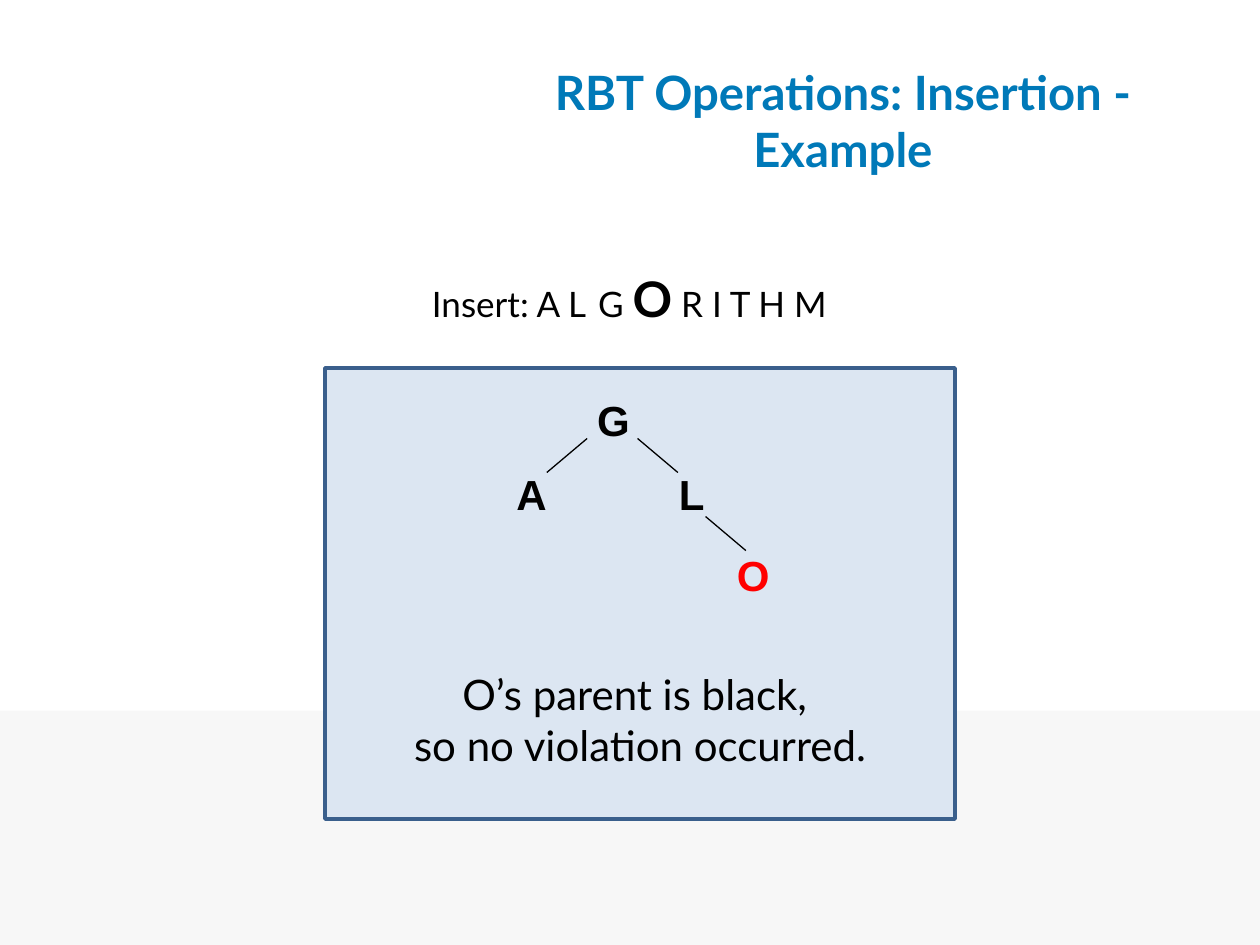
from typing import Any, NamedTuple

from lxml.etree import SubElement
from pptx import Presentation
from pptx.dml.color import RGBColor
from pptx.enum.shapes import MSO_CONNECTOR, MSO_SHAPE
from pptx.enum.text import MSO_ANCHOR, MSO_AUTO_SIZE, PP_ALIGN
from pptx.oxml.ns import qn
from pptx.util import Inches, Pt

COLORS = {
    "band": "F7F7F7",
    "panel": "DCE6F2",
    "border": "3A5F8C",
    "title": "0079B8",
    "black": "000000",
    "red": "FF0000",
}


class Box(NamedTuple):
    left: float
    top: float
    width: float
    height: float


class Run(NamedTuple):
    text: str
    size: float
    bold: bool = False
    color: str = "black"
    font: str = "Lato"


class Node(NamedTuple):
    letter: str
    box: Box
    color: str = "black"


class Edge(NamedTuple):
    left: float
    top: float
    side: int


NODES = [
    Node("A", Box(4, 3.67, 0.44, 0.5)),
    Node("L", Box(5.29, 3.67, 0.4, 0.5)),
    Node("G", Box(4.64, 3.08, 0.46, 0.5)),
    Node("O", Box(5.75, 4.31, 0.46, 0.5), "red"),
]
EDGES = [Edge(4.66, 3.48, -1), Edge(5.06, 3.48, 1), Edge(5.6, 4.1, 1)]
SPAN, DROP = 0.32, 0.27
WORD = [
    Run("Insert: A L", 20),
    Run(" ", 28, True),
    Run("G ", 20),
    Run("O", 28, True),
    Run(" R I T H M", 20),
]
NOTE = ["O’s parent is black, ", "so no violation occurred."]


def shade(name: str) -> RGBColor:
    return RGBColor.from_string(COLORS[name])


def place(shape: Any, box: Box) -> None:
    for name, value in box._asdict().items():
        setattr(shape, name, Inches(value))


def write(para: Any, runs: list[Run]) -> None:
    for item in runs:
        run = para.add_run()
        run.text = item.text
        style = {"name": item.font, "size": Pt(item.size), "bold": item.bold}
        for name, value in style.items():
            setattr(run.font, name, value)
        run.font.color.rgb = shade(item.color)


def panel(slide: Any, box: Box, fill: str, line: str = "") -> None:
    shape = slide.shapes.add_shape(MSO_SHAPE.RECTANGLE, 0, 0, 0, 0)
    place(shape, box)
    shape.shadow.inherit = False
    shape.fill.solid()
    shape.fill.fore_color.rgb = shade(fill)
    if line:
        shape.line.color.rgb = shade(line)
        shape.line.width = Pt(2)
    else:
        shape.line.fill.background()


def label(slide: Any, box: Box, lines: list[list[Run]],
          wrap: bool = False, align: Any = PP_ALIGN.LEFT) -> None:
    shape = slide.shapes.add_textbox(0, 0, 0, 0)
    place(shape, box)
    frame = shape.text_frame
    frame.word_wrap = wrap
    frame.auto_size = MSO_AUTO_SIZE.SHAPE_TO_FIT_TEXT
    for index, runs in enumerate(lines):
        para = frame.add_paragraph() if index else frame.paragraphs[0]
        para.alignment = align
        write(para, runs)


def branch(slide: Any, edge: Edge) -> None:
    line = slide.shapes.add_connector(
        MSO_CONNECTOR.STRAIGHT, Inches(edge.left), Inches(edge.top),
        Inches(edge.left + edge.side * SPAN), Inches(edge.top + DROP))
    line.line.color.rgb = shade("black")
    line.line.width = Pt(0.75)
    SubElement(line.element.spPr, qn("a:effectLst"))


def head(slide: Any) -> None:
    title = slide.shapes.title
    place(title, Box(3.66, 0.52, 6.06, 0.87))
    frame = title.text_frame
    style = {
        "word_wrap": True,
        "auto_size": MSO_AUTO_SIZE.NONE,
        "vertical_anchor": MSO_ANCHOR.MIDDLE,
    }
    for name, value in style.items():
        setattr(frame, name, value)
    para = frame.paragraphs[0]
    para.alignment = PP_ALIGN.CENTER
    write(para, [Run("RBT Operations: Insertion - Example", 27, True, "title")])


def main() -> None:
    deck = Presentation()
    deck.slide_width, deck.slide_height = Inches(10), Inches(7.5)
    slide = deck.slides.add_slide(deck.slide_layouts[5])
    panel(slide, Box(0, 5.64, 10, 1.86), "band")
    panel(slide, Box(2.58, 2.92, 5, 3.58), "panel", "border")
    label(slide, Box(3.33, 2.08, 3.58, 0.57), [WORD])
    head(slide)
    for node in NODES:
        label(slide, node.box, [[Run(node.letter, 24, True, node.color, "Arial")]])
    for edge in EDGES:
        branch(slide, edge)
    label(slide, Box(2.58, 5.26, 5, 0.91), [[Run(text, 24)] for text in NOTE],
          True, PP_ALIGN.CENTER)
    deck.save("out.pptx")


if __name__ == "__main__":
    main()
